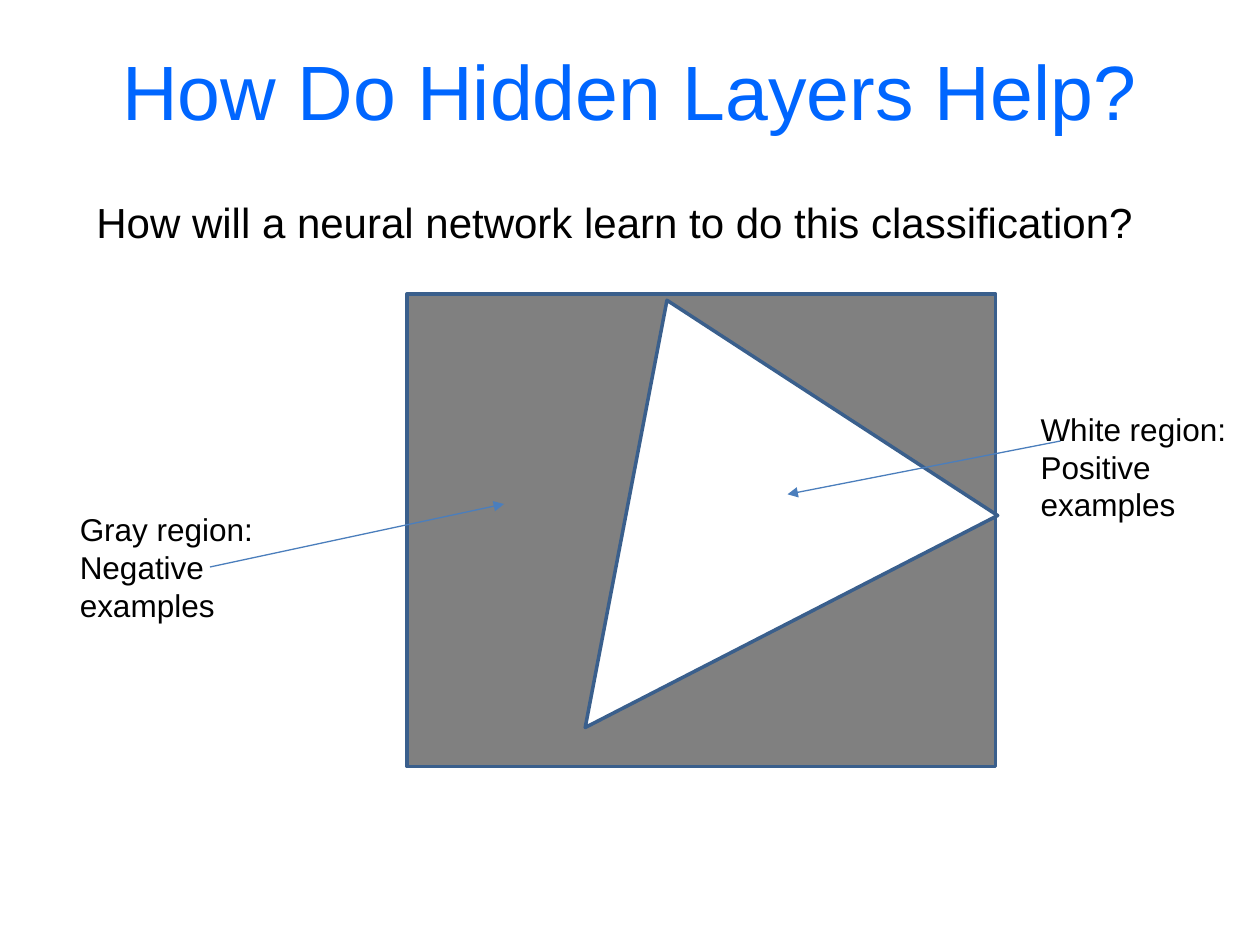
from lxml.etree import SubElement
from pptx import Presentation
from pptx.dml.color import RGBColor
from pptx.enum.shapes import MSO_CONNECTOR, MSO_SHAPE
from pptx.enum.text import MSO_ANCHOR, MSO_AUTO_SIZE, PP_ALIGN
from pptx.oxml.ns import qn
from pptx.util import Pt

FONT = "Arial"
BLACK, WHITE, GRAY = "000000", "FFFFFF", "808080"
TITLE_BLUE, OUTLINE_BLUE, ARROW_BLUE = "0066FF", "3A5F8C", "4B7EBC"


def color(hex_string):
    """Return the colour for a hex string."""
    return RGBColor.from_string(hex_string)


def write_text(shape, text, size, hex_string):
    """Fill a shape with text and format all its runs."""
    shape.text_frame.text = text
    for paragraph in shape.text_frame.paragraphs:
        for run in paragraph.runs:
            run.font.name = FONT
            run.font.size = Pt(size)
            run.font.color.rgb = color(hex_string)


def place_title(slide, text, left, top, width, height):
    """Place and format the slide title."""
    title = slide.shapes.title
    title.left, title.top, title.width, title.height = map(Pt, (left, top, width, height))
    write_text(title, text, 44, TITLE_BLUE)
    title.text_frame.vertical_anchor = MSO_ANCHOR.MIDDLE
    title.text_frame.paragraphs[0].alignment = PP_ALIGN.CENTER


def add_label(slide, text, size, left, top, width, height):
    """Add a black text box that grows with its unwrapped text."""
    label = slide.shapes.add_textbox(Pt(left), Pt(top), Pt(width), Pt(height))
    write_text(label, text, size, BLACK)
    label.text_frame.word_wrap = False
    label.text_frame.auto_size = MSO_AUTO_SIZE.SHAPE_TO_FIT_TEXT


def add_region(slide, kind, fill, left, top, width, height):
    """Add an outlined region and return its shape."""
    region = slide.shapes.add_shape(kind, Pt(left), Pt(top), Pt(width), Pt(height))
    region.shadow.inherit = False
    region.fill.solid()
    region.fill.fore_color.rgb = color(fill)
    region.line.color.rgb = color(OUTLINE_BLUE)
    region.line.width = Pt(2)
    return region


def add_arrow(slide, start_x, start_y, end_x, end_y):
    """Add a thin arrow that points at its end."""
    arrow = slide.shapes.add_connector(
        MSO_CONNECTOR.STRAIGHT, Pt(start_x), Pt(start_y), Pt(end_x), Pt(end_y))
    arrow.line.color.rgb = color(ARROW_BLUE)
    arrow.line.width = Pt(0.75)
    SubElement(arrow.line._get_or_add_ln(), qn("a:tailEnd"), type="triangle")
    SubElement(arrow._element.spPr, qn("a:effectLst"))


def add_classification_diagram(slide, left, top, width, height):
    """Draw the gray square with its white triangle and labelled arrows."""
    add_region(slide, MSO_SHAPE.RECTANGLE, GRAY, left, top, width, height)
    triangle = add_region(slide, MSO_SHAPE.ISOSCELES_TRIANGLE, WHITE,
                          left + 42.5, top + 2.2, 265, 195.8)
    triangle.adjustments[0] = 0.578
    triangle.rotation = 332.8

    add_arrow(slide, left + 373.5, top + 84, left + 217.5, top + 114.5)
    add_label(slide, "White region:\nPositive\nexamples", 18,
              left + 355, top + 62.6, 121.7, 72.7)
    add_arrow(slide, left - 112.5, top + 156, left + 55.5, top + 120)
    add_label(slide, "Gray region:\nNegative\nexamples", 18,
              left - 194, top + 120, 114.5, 72.7)


def build_slide(presentation):
    """Build the slide on hidden layers."""
    slide = presentation.slides.add_slide(presentation.slide_layouts[5])
    slide.background.fill.solid()
    slide.background.fill.fore_color.rgb = color(WHITE)
    place_title(slide, "How Do Hidden Layers Help?", 36, 6, 648, 90)
    add_classification_diagram(slide, 232.5, 168, 336.5, 270)
    add_label(slide, "How will a neural network learn to do this classification?",
              24, 48, 108.7, 613.5, 36)


presentation = Presentation()
presentation.slide_width, presentation.slide_height = Pt(720), Pt(540)
build_slide(presentation)
presentation.save("out.pptx")
